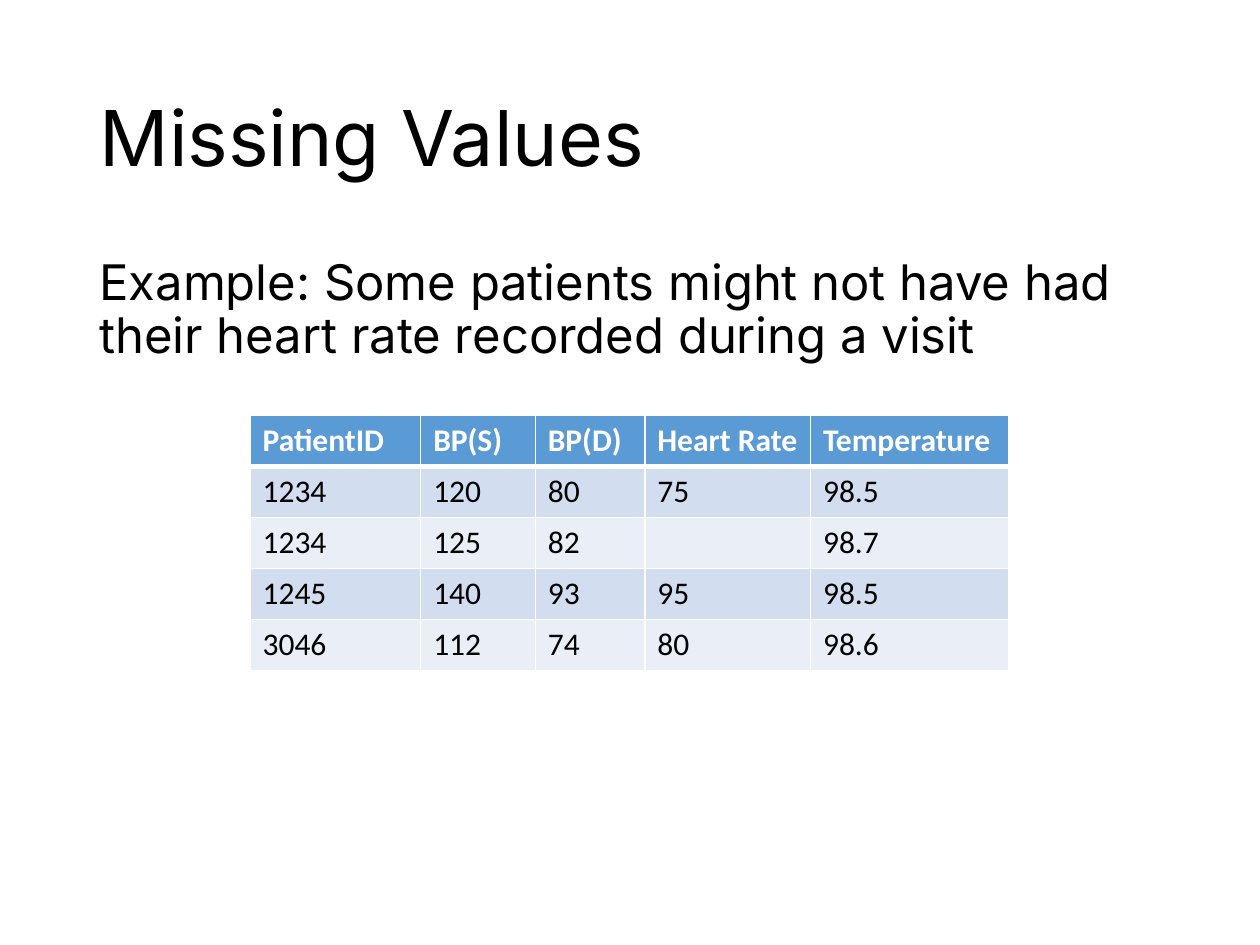
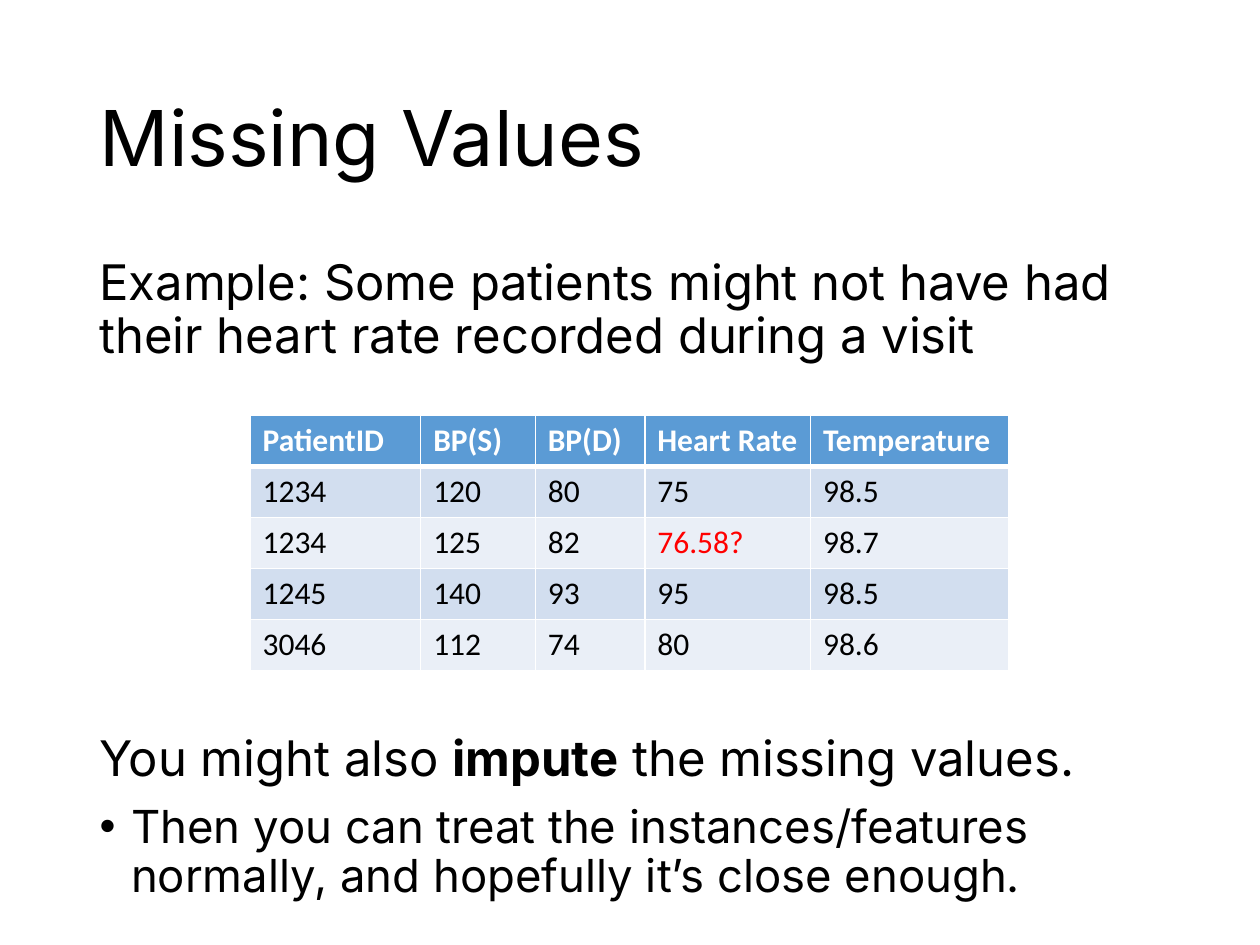
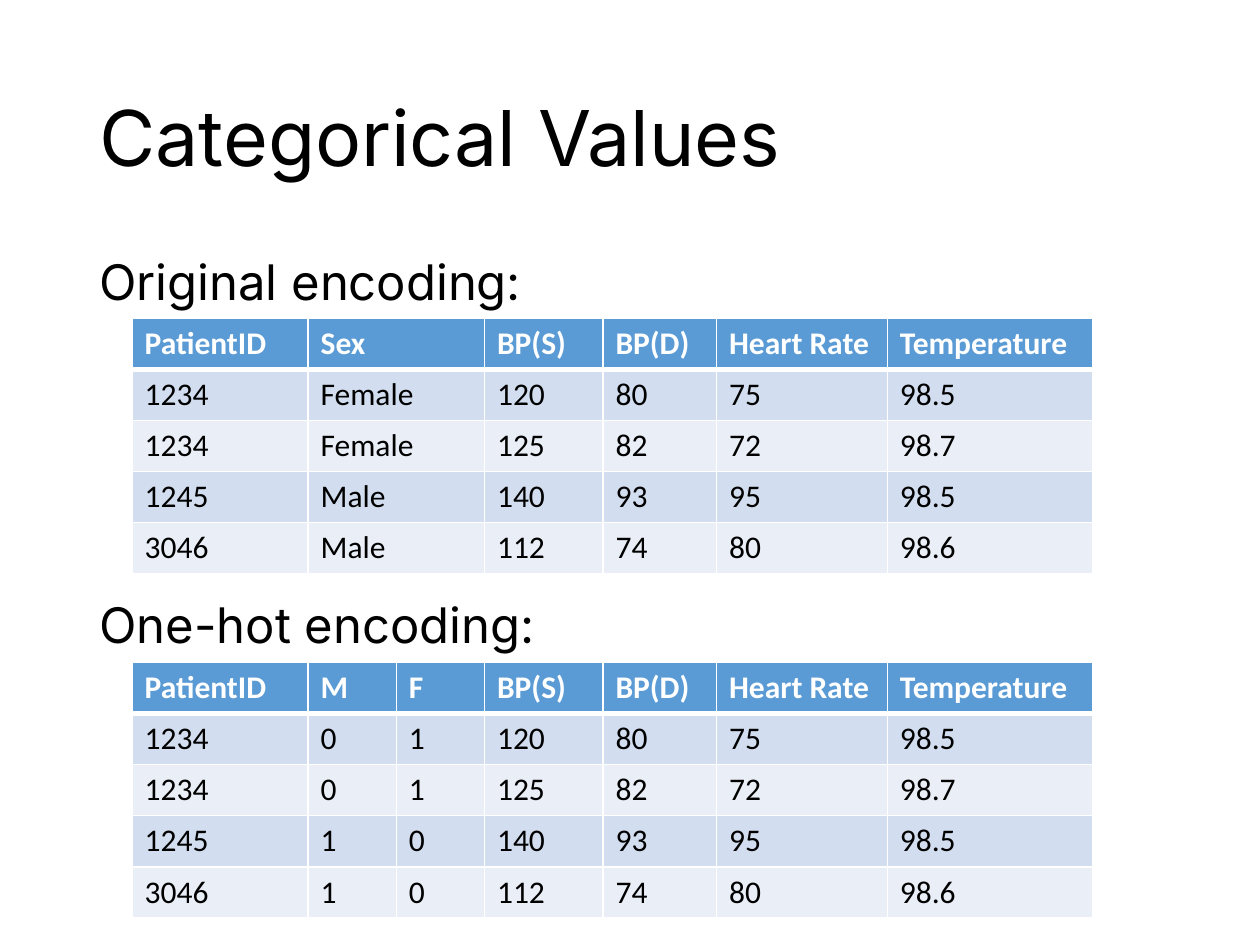
from lxml.etree import SubElement
from pptx import Presentation
from pptx.dml.color import RGBColor
from pptx.enum.text import MSO_ANCHOR
from pptx.oxml.ns import qn
from pptx.util import Pt

COLORS = {
    "text": "000000",
    "guess": "FF0000",
    "header": "5B9BD5",
    "odd_row": "D2DEEF",
    "even_row": "EAEFF7",
    "white": "FFFFFF",
}
TEXT_FONT, TABLE_FONT = "Inter", "Calibri"
LEFT, TITLE_TOP, BODY_TOP = 49.8, 28.75, 144
ROW_HEIGHT = 29.2


def write(paragraph, text, size=28, font=TEXT_FONT, color="text", bold=False,
          line_spacing=None, space_before=None):
    run = paragraph.add_run()
    run.text = text
    run.font.size = Pt(size)
    run.font.name = font
    run.font.bold = bold
    run.font.color.rgb = RGBColor.from_string(COLORS[color])
    if line_spacing is not None:
        paragraph.line_spacing = line_spacing
    if space_before is not None:
        paragraph.space_before = Pt(space_before)


def draw_table(slide, left, top, widths, rows):
    frame = slide.shapes.add_table(len(rows), len(widths), Pt(left), Pt(top),
                                   Pt(sum(widths)), Pt(ROW_HEIGHT * len(rows)))
    table = frame.table
    for column, width in zip(table.columns, widths):
        column.width = Pt(width)
    for row_index, values in enumerate(rows):
        table.rows[row_index].height = Pt(ROW_HEIGHT)
        is_header = row_index == 0
        fill = "header" if is_header else ("even_row", "odd_row")[row_index % 2]
        for column_index, value in enumerate(values):
            cell = table.cell(row_index, column_index)

            # White rules, with a heavy one under the header
            properties = cell._tc.get_or_add_tcPr()
            thick_side = {0: "lnB", 1: "lnT"}.get(row_index)
            for side in ("lnL", "lnR", "lnT", "lnB"):
                width = Pt(3 if side == thick_side else 1)
                line = SubElement(properties, qn("a:" + side), w=str(width))
                line_fill = SubElement(line, qn("a:solidFill"))
                SubElement(line_fill, qn("a:srgbClr"), val=COLORS["white"])

            cell.fill.solid()
            cell.fill.fore_color.rgb = RGBColor.from_string(COLORS[fill])
            if value:
                color = "white" if is_header else "guess" if "?" in value else "text"
                write(cell.text_frame.paragraphs[0], value, size=18,
                      font=TABLE_FONT, color=color, bold=is_header)


presentation = Presentation()
presentation.slide_width, presentation.slide_height = Pt(720), Pt(540)

# Title and body box of every slide
slides, bodies = [], []
for title, body_width, body_height in (
    ("Missing Values", 621, 396),
    ("Missing Values", 643.7, 396),
    ("Categorical Values", 639.4, 383.75),
):
    slide = presentation.slides.add_slide(presentation.slide_layouts[6])
    title_box = slide.shapes.add_textbox(Pt(LEFT), Pt(TITLE_TOP), Pt(621), Pt(104.4))
    title_frame = title_box.text_frame
    title_frame.word_wrap = True
    title_frame.vertical_anchor = MSO_ANCHOR.MIDDLE
    write(title_frame.paragraphs[0], title, size=44, line_spacing=0.9)

    body_box = slide.shapes.add_textbox(Pt(LEFT), Pt(BODY_TOP),
                                        Pt(body_width), Pt(body_height))
    body_box.text_frame.word_wrap = True
    slides.append(slide)
    bodies.append(body_box.text_frame)

# Patient records: ID, sex, blood pressures, heart rate, temperature
HEADINGS = ["BP(S)", "BP(D)", "Heart Rate", "Temperature"]
RECORDS = [
    ["1234", "Female", "120", "80", "75", "98.5"],
    ["1234", "Female", "125", "82", "72", "98.7"],
    ["1245", "Male", "140", "93", "95", "98.5"],
    ["3046", "Male", "112", "74", "80", "98.6"],
]

# Slides 1 and 2: the second heart rate is missing, then imputed
for slide, body, heart_rate in zip(slides, bodies, ("", "76.58?")):
    write(body.paragraphs[0], "Example: Some patients might not have had "
          "their heart rate recorded during a visit", line_spacing=0.9)
    rows = [["PatientID"] + HEADINGS]
    rows += [[patient] + measures for patient, sex, *measures in RECORDS]
    rows[2][3] = heart_rate
    draw_table(slide, 142.9, 237.2, [97.5, 65.5, 62.6, 94.7, 113.5], rows)

# Slide 2: advice below the table
paragraph = bodies[1].add_paragraph()
write(paragraph, "You might also ", line_spacing=0.9, space_before=211.3)
write(paragraph, "impute", bold=True)
write(paragraph, " the missing values.")

paragraph = bodies[1].add_paragraph()
write(paragraph, "Then you can treat the instances/features normally, "
      "and hopefully it’s close enough.", size=26, line_spacing=0.9, space_before=10)
bullet_properties = paragraph._p.get_or_add_pPr()
bullet_properties.set("marL", str(Pt(18)))
bullet_properties.set("indent", str(Pt(-18)))
SubElement(bullet_properties, qn("a:buFont"), typeface="Arial")
SubElement(bullet_properties, qn("a:buChar"), char="•")

# Slide 3: the same records with sex as a word, then as two flags
write(bodies[2].paragraphs[0], "Original encoding:", line_spacing=0.9)
write(bodies[2].add_paragraph(), "One-hot encoding:",
      line_spacing=0.9, space_before=165.8)

FLAGS = {"Male": ["1", "0"], "Female": ["0", "1"]}
original_rows = [["PatientID", "Sex"] + HEADINGS] + RECORDS
one_hot_rows = [["PatientID", "M", "F"] + HEADINGS]
one_hot_rows += [[patient] + FLAGS[sex] + measures
                 for patient, sex, *measures in RECORDS]
measure_widths = [67.7, 64.9, 97.6, 117.5]
draw_table(slides[2], 75.5, 181.8, [100.6, 100.8] + measure_widths, original_rows)
draw_table(slides[2], 75.5, 378.5, [100.6, 50.4, 50.4] + measure_widths, one_hot_rows)

presentation.save("out.pptx")
